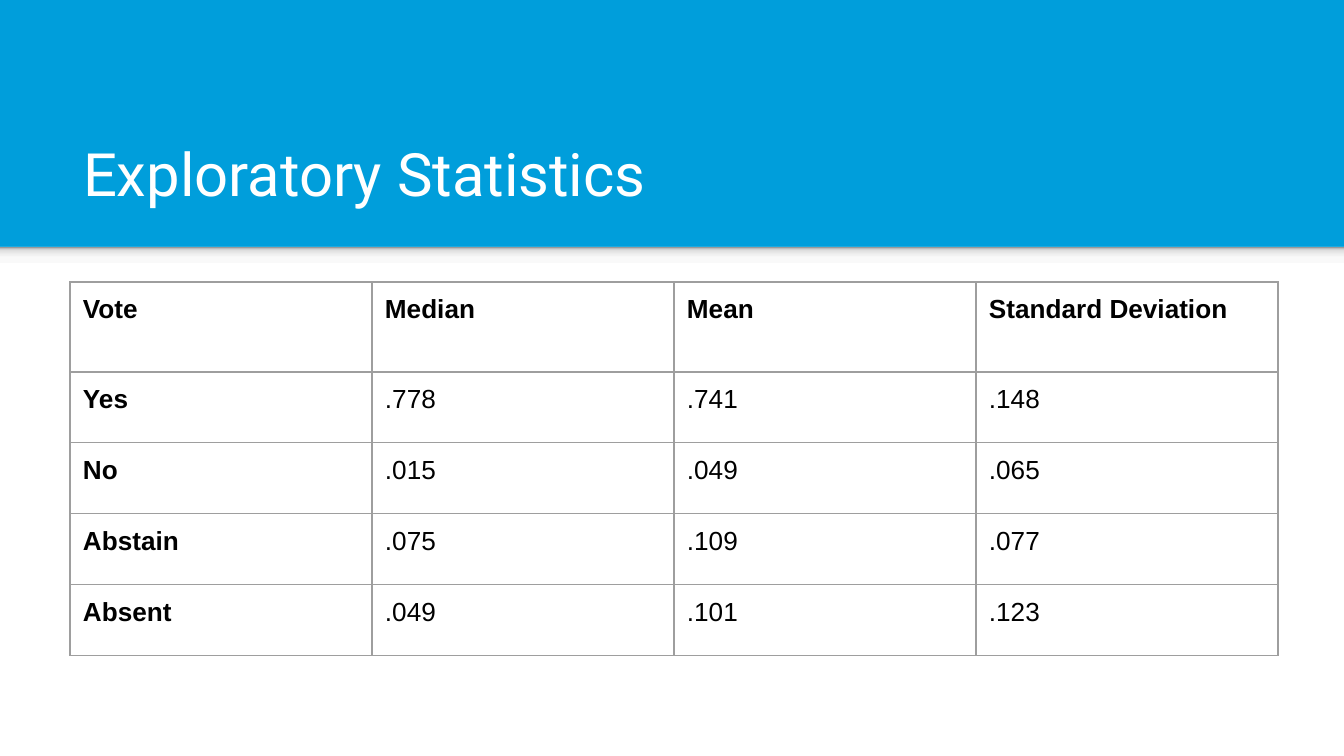
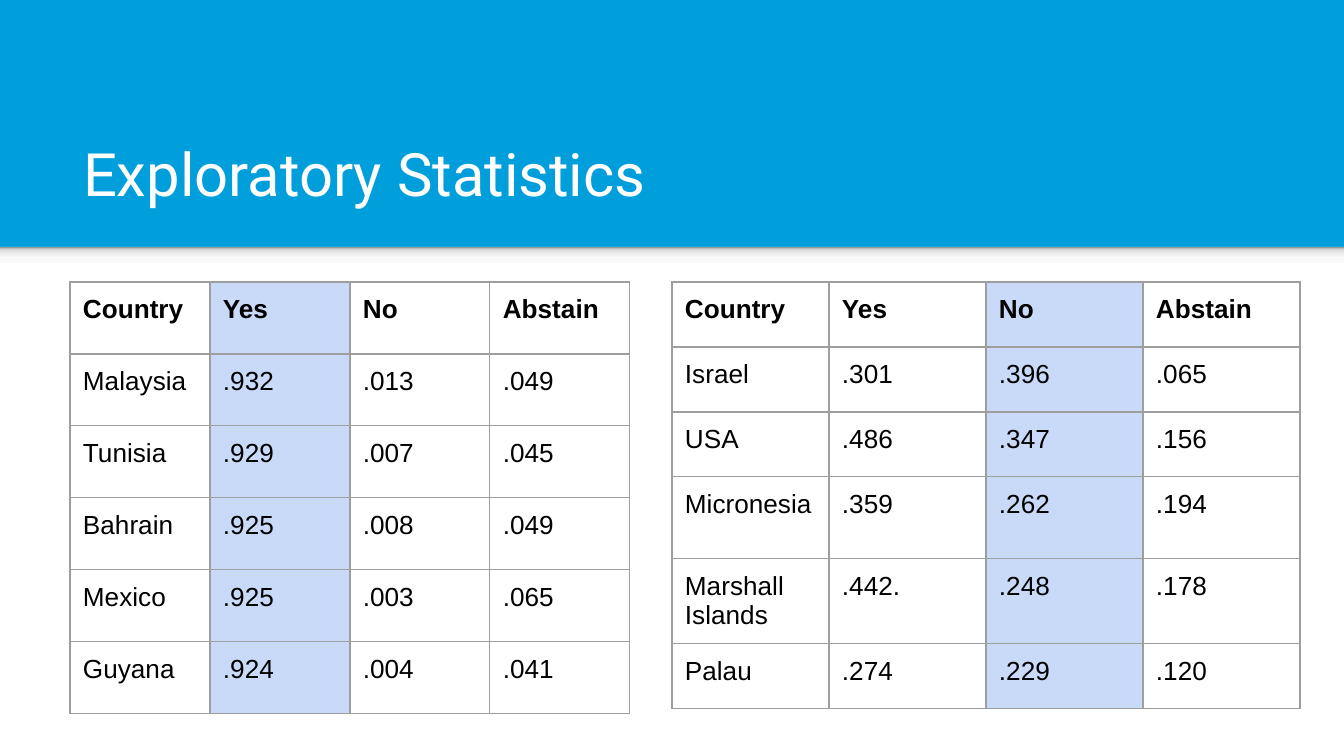
from dataclasses import dataclass
from itertools import product

from lxml.etree import SubElement
from pptx import Presentation
from pptx.dml.color import RGBColor as RGB
from pptx.enum.shapes import MSO_SHAPE as SHAPE
from pptx.enum.text import MSO_ANCHOR as ANCHOR, PP_ALIGN as ALIGN
from pptx.oxml.ns import qn
from pptx.util import Emu, Pt

SLIDE_W, SLIDE_H = 1344, 756
BAND_H = 247
SHADE_H = 16
INSET = 13
TITLE_BOX = (70, 109, 1208, 113)
TABLE_TOP = 282


@dataclass(frozen=True)
class Theme:
    band: str = "009EDB"
    panel: str = "FFFFFF"
    title: str = "FFFFFF"
    text: str = "000000"
    grid: str = "9E9E9E"
    highlight: str = "C9DAF8"
    shade: tuple = ((0, "F9F9F9"), (36, "F9F9F9"), (80, "DEDEDE"), (100, "999999"))
    title_font: str = "Roboto"
    body_font: str = "Arial"
    title_size: int = 32
    body_size: int = 14
    grid_width: float = 0.75


THEME = Theme()
MARGINS = ("margin_left", "margin_top", "margin_right", "margin_bottom")


def px(n):
    return Emu(round(n * 914400 / 134.4))


def set_attrs(obj, **values):
    for name, value in values.items():
        setattr(obj, name, value)


def set_insets(obj):
    set_attrs(obj, **dict.fromkeys(MARGINS, px(INSET)))


def write(tf, text, font, size, color, bold=False):
    p = tf.paragraphs[0]
    p.alignment = ALIGN.LEFT
    r = p.add_run()
    r.text = text
    set_attrs(r.font, name=font, size=Pt(size), bold=bold)
    r.font.color.rgb = RGB.from_string(color)


def add_rect(slide, box):
    sp = slide.shapes.add_shape(SHAPE.RECTANGLE, *map(px, box))
    sp.shadow.inherit = False
    sp.line.fill.background()
    return sp


def add_panel(slide, box):
    """White content area with a soft shade along its top edge."""
    x, y, w, h = box
    panel = add_rect(slide, box)
    panel.fill.solid()
    panel.fill.fore_color.rgb = RGB.from_string(THEME.panel)

    shade = add_rect(slide, (x, y, w, SHADE_H))
    shade.fill.gradient()
    shade.fill.gradient_angle = 90
    stops = next(shade.element.iter(qn("a:gsLst")))
    for stop in list(stops):
        stops.remove(stop)
    for position, color in THEME.shade:
        stop = SubElement(stops, qn("a:gs"), pos=str(position * 1000))
        SubElement(stop, qn("a:srgbClr"), val=color)


def set_title(slide, text, box):
    sp = slide.shapes.title
    set_attrs(sp, **dict(zip(("left", "top", "width", "height"), map(px, box))))
    tf = sp.text_frame
    set_attrs(tf, word_wrap=True, vertical_anchor=ANCHOR.BOTTOM)
    set_insets(tf)
    write(tf, text, THEME.title_font, THEME.title_size, THEME.title)


def set_borders(cell):
    tc_pr = cell._tc.get_or_add_tcPr()
    for side in ("a:lnL", "a:lnR", "a:lnT", "a:lnB"):
        ln = SubElement(tc_pr, qn(side), w=str(Pt(THEME.grid_width)))
        fill = SubElement(ln, qn("a:solidFill"))
        SubElement(fill, qn("a:srgbClr"), val=THEME.grid)


def add_stats_table(slide, origin, col_w, row_heights, rows,
                    bold_labels=False, highlight_col=None):
    n_rows, n_cols = len(rows), len(rows[0])
    size = (col_w * n_cols, sum(row_heights))
    table = slide.shapes.add_table(n_rows, n_cols, *map(px, origin + size)).table
    set_attrs(table, first_row=False, horz_banding=False)
    for col in table.columns:
        col.width = px(col_w)
    for row, height in zip(table.rows, row_heights):
        row.height = px(height)
    for i, j in product(range(n_rows), range(n_cols)):
        cell = table.cell(i, j)
        set_insets(cell)
        set_borders(cell)
        if j == highlight_col:
            cell.fill.solid()
            cell.fill.fore_color.rgb = RGB.from_string(THEME.highlight)
        else:
            cell.fill.background()
        bold = i == 0 or (bold_labels and j == 0)
        write(cell.text_frame, rows[i][j], THEME.body_font, THEME.body_size,
              THEME.text, bold)


def add_slide(prs, title):
    slide = prs.slides.add_slide(prs.slide_layouts[5])
    add_panel(slide, (0, BAND_H, SLIDE_W, SLIDE_H - BAND_H))
    set_title(slide, title, TITLE_BOX)
    return slide


VOTE_STATS = [
    ("Vote", "Median", "Mean", "Standard Deviation"),
    ("Yes", ".778", ".741", ".148"),
    ("No", ".015", ".049", ".065"),
    ("Abstain", ".075", ".109", ".077"),
    ("Absent", ".049", ".101", ".123"),
]
COUNTRY_HEADER = ("Country", "Yes", "No", "Abstain")
TOP_YES = [
    COUNTRY_HEADER,
    ("Malaysia", ".932", ".013", ".049"),
    ("Tunisia", ".929", ".007", ".045"),
    ("Bahrain", ".925", ".008", ".049"),
    ("Mexico", ".925", ".003", ".065"),
    ("Guyana", ".924", ".004", ".041"),
]
TOP_NO = [
    COUNTRY_HEADER,
    ("Israel", ".301", ".396", ".065"),
    ("USA", ".486", ".347", ".156"),
    ("Micronesia", ".359", ".262", ".194"),
    ("Marshall Islands", ".442.", ".248", ".178"),
    ("Palau", ".274", ".229", ".120"),
]


def main():
    prs = Presentation()
    set_attrs(prs, slide_width=px(SLIDE_W), slide_height=px(SLIDE_H))
    background = prs.slide_master.background.fill
    background.solid()
    background.fore_color.rgb = RGB.from_string(THEME.band)

    title = "Exploratory Statistics"
    votes = add_slide(prs, title)
    add_stats_table(votes, (70, TABLE_TOP), 302, [90] + [71] * 4, VOTE_STATS,
                    bold_labels=True)

    countries = add_slide(prs, title)
    add_stats_table(countries, (70, TABLE_TOP), 140, [72] * 6, TOP_YES,
                    highlight_col=1)
    add_stats_table(countries, (672, TABLE_TOP), 157, [65, 65, 65, 82, 82, 65],
                    TOP_NO, highlight_col=2)
    prs.save("out.pptx")


if __name__ == "__main__":
    main()
